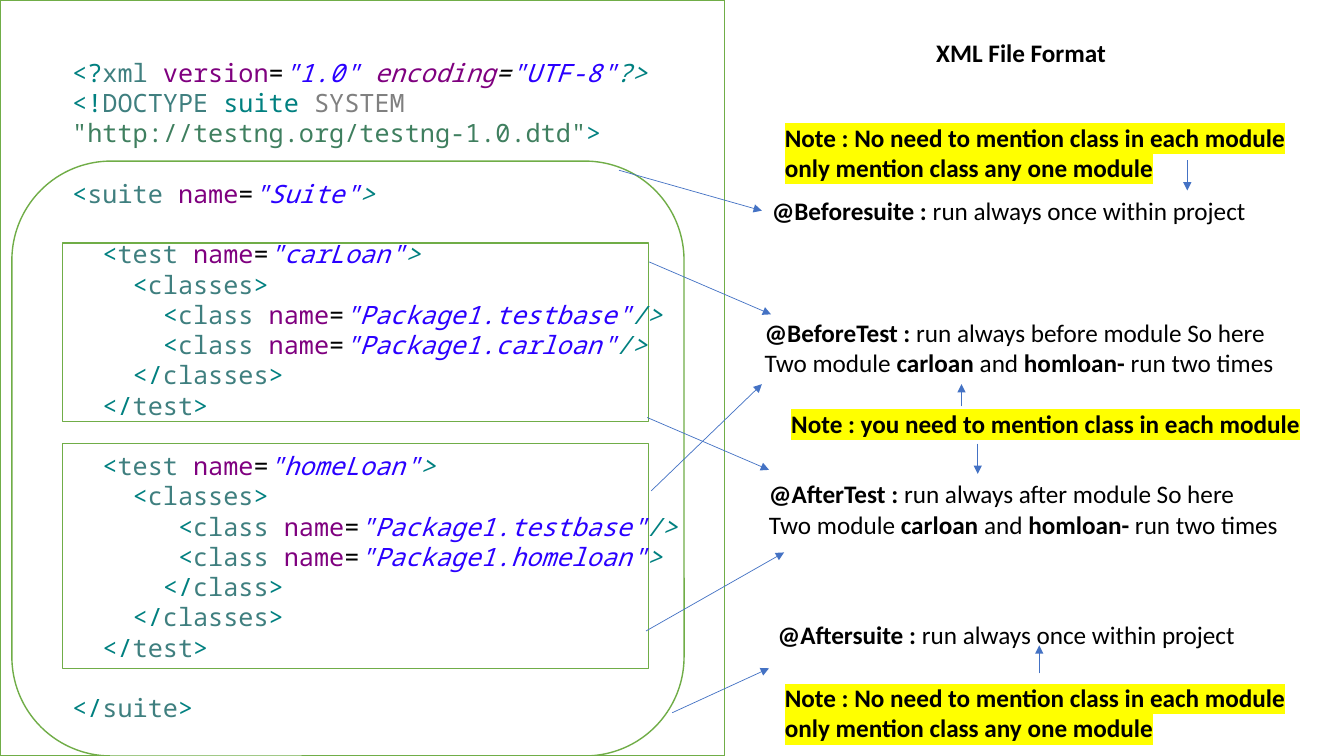
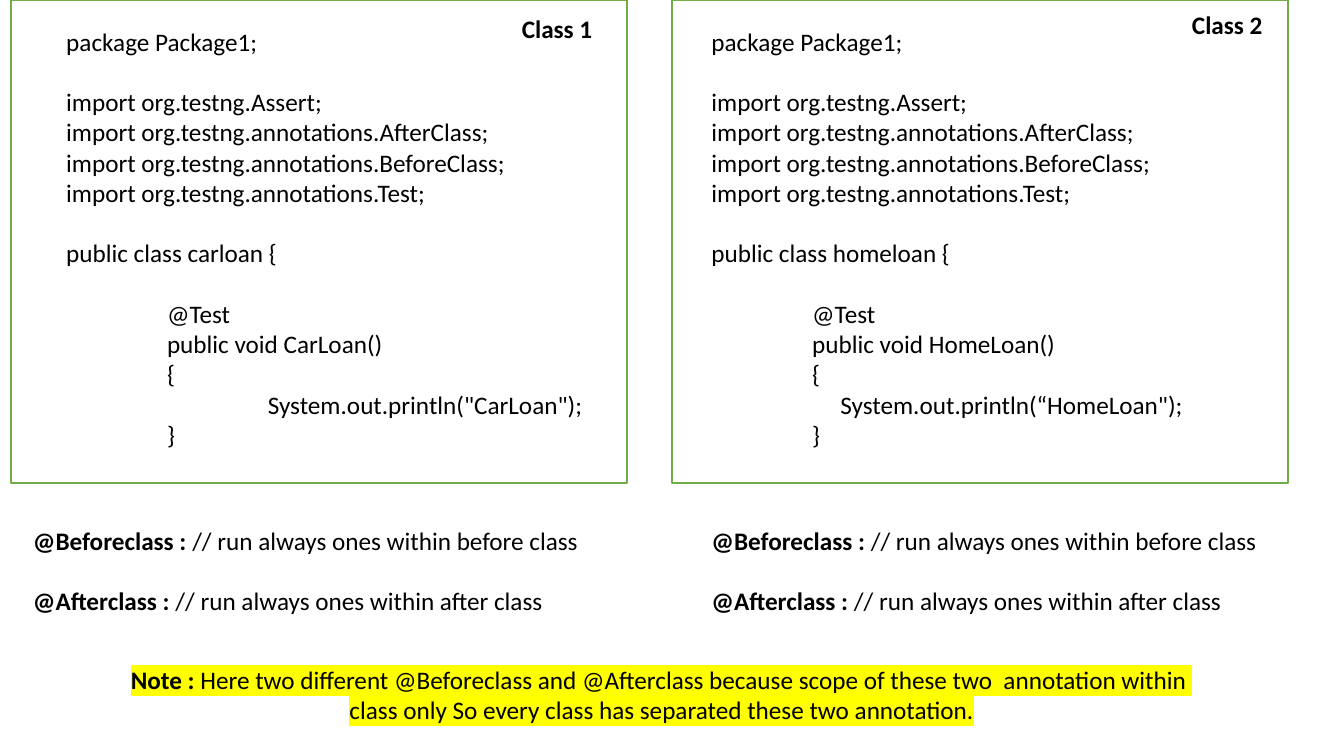
import pptx
import pptx.util
import pptx.dml.color
import pptx.enum.shapes
import pptx.enum.text
import pptx.oxml.ns
import lxml.etree

Cm, Pt = pptx.util.Cm, pptx.util.Pt
Kind = pptx.enum.shapes.MSO_SHAPE
Align = pptx.enum.text.PP_ALIGN

WHITE, BLACK, GREEN, BLUE, YELLOW = "FFFFFF", "000000", "70AD47", "4472C4", "FFFF00"
TEAL, TAG, NAME, VALUE, GREY, LINK = "008080", "3F7F7F", "7F007F", "2A00FF", "808080", "3F7F5F"
SANS, MONO = "Calibri", "Noto Sans Mono"
SIZE, LINE, CHAR, TAB = 18, 21.6, 10.8, 72


def tag(step, name, value="", end=">", start="<", gap=0):
    runs = [(start, TEAL, False)]
    if value:
        runs += [(name + " ", TAG, False), ("name", NAME, False), ("=", BLACK, False),
                 (f'"{value}"', VALUE, True)]
    else:
        runs.append((name, TAG, False))
    return runs + [(end, TEAL, bool(value))], step, gap


def close(step, name, gap=0):
    return tag(step, name, start="</", gap=gap)


HEAD = [
    ([("<?", TEAL, False), ("xml ", TAG, False), ("version", NAME, False), ("=", BLACK, False),
      ('"1.0" ', VALUE, True), ("encoding", NAME, True), ("=", BLACK, True),
      ('"UTF-8"', VALUE, True), ("?>", TEAL, True)], 0, 0),
    ([("<!", TEAL, False), ("DOCTYPE ", TAG, False), ("suite ", TEAL, False),
      ("SYSTEM ", GREY, False), ('"http://testng.org/testng-1.0.dtd"', LINK, False),
      (">", TEAL, False)], 0, 0),
]
CODE = HEAD + [
    tag(0, "suite", "Suite", gap=1),
    tag(2, "test", "carLoan", gap=1),
    tag(4, "classes"),
    tag(6, "class", "Package1.testbase", "/>"),
    tag(6, "class", "Package1.carloan", "/>"),
    close(4, "classes"),
    close(2, "test"),
    tag(2, "test", "homeLoan", gap=1),
    tag(4, "classes"),
    tag(7, "class", "Package1.testbase", "/>"),
    tag(7, "class", "Package1.homeloan"),
    close(6, "class"),
    close(4, "classes"),
    close(2, "test"),
    close(0, "suite", gap=1),
]
FRAMES = [
    (Kind.RECTANGLE, 0, 0, 18.26, 19.05),
    (Kind.ROUNDED_RECTANGLE, 0.3, 4.06, 16.94, 14.99),
    (Kind.RECTANGLE, 1.57, 6.12, 14.78, 4.5),
    (Kind.RECTANGLE, 1.57, 11.18, 14.78, 5.66),
]
SUITES = [("Before", 19.2, 4.8), ("After", 19.35, 15.47)]
TESTS = [("Before", "before", 19.02, 7.87), ("After", "after", 19.13, 11.94)]
ONCE = "*Note : No need to mention class in each module only mention class any one module*"
NOTES = [
    ("*Note : you need to mention class in each module*", 19.69, 10.16, 1.02),
    (ONCE, 19.53, 2.95, 1.8),
    (ONCE, 19.53, 17.07, 1.8),
]
ARROWS = [
    (15.6, 4.29, 19.2, 5.31), (16.94, 17.96, 19.38, 16.84),
    (16.36, 6.6, 19.43, 7.92), (16.31, 10.52, 19.38, 11.84),
    (16.28, 15.9, 19.76, 13.92), (16.41, 12.37, 19.2, 9.68),
    (24.23, 10.24, 24.23, 9.68), (24.64, 11.18, 24.64, 11.94),
    (29.92, 4.04, 29.92, 4.8), (26.19, 16.97, 26.19, 16.26),
]
CLASSES = [
    dict(label="Class 1", at=(12.9, 0.2), frame=0.28, code=(1.42, 14.02), rule=0.58,
         name="carloan", call="CarLoan", quote='"', step=2),
    dict(label="Class 2", at=(29.79, 0.1), frame=16.94, code=(17.68, 14.76), rule=17.68,
         name="homeloan", call="HomeLoan", quote="\u201c", step=1.28),
]
RULES = [
    ("*@Beforeclass : *// run always ones within before class", 0, 0),
    ("*@Afterclass : *// run always ones within after class", 0, 1),
]
SCOPE = [
    ("*Note : *Here two different @Beforeclass and @Afterclass because scope of these two"
     "  annotation within ", 0, 0),
    ("class only So every class has separated these two annotation.", 0, 0),
]


def hue(code):
    return pptx.dml.color.RGBColor.from_string(code)


def style(para, font=SANS):
    para.font.name = font
    para.font.size = Pt(SIZE)
    if font == SANS:
        para.font.color.rgb = hue(BLACK)


def mark(run):
    prop = run.font._element if hasattr(run.font, "_element") else run._r.get_or_add_rPr()
    glow = lxml.etree.SubElement(prop, pptx.oxml.ns.qn("a:highlight"))
    lxml.etree.SubElement(glow, pptx.oxml.ns.qn("a:srgbClr")).set("val", YELLOW)


def indent(para, points):
    if points:
        para._p.get_or_add_pPr().set("marL", str(int(Pt(points))))


def area(slide, left, top, wide, high, wrap=True):
    box = slide.shapes.add_textbox(Cm(left), Cm(top), Cm(wide), Cm(high))
    box.text_frame.word_wrap = wrap
    return box.text_frame


def paras(frame, lines):
    for i, (text, step, gap) in enumerate(lines):
        para = frame.add_paragraph() if i else frame.paragraphs[0]
        if gap:
            para.space_before = Pt(gap * LINE)
        yield para, text, step


def write(slide, lines, left, top, wide, high, wrap=True, lit=False, align=Align.LEFT):
    frame = area(slide, left, top, wide, high, wrap)
    for para, text, step in paras(frame, lines):
        style(para)
        para.alignment = align
        indent(para, step * TAB)
        for i, part in enumerate(text.split("*")):
            if part:
                run = para.add_run()
                run.text = part
                run.font.bold = i % 2 == 1
                if lit:
                    mark(run)


def listing(slide, lines, left, top, wide, high):
    frame = area(slide, left, top, wide, high)
    for para, runs, step in paras(frame, lines):
        style(para, MONO)
        para.line_spacing = Pt(LINE)
        indent(para, step * CHAR)
        for text, color, slant in runs:
            run = para.add_run()
            run.text = text
            run.font.color.rgb = hue(color)
            run.font.italic = slant


def panel(slide, kind, left, top, wide, high):
    shape = slide.shapes.add_shape(kind, Cm(left), Cm(top), Cm(wide), Cm(high))
    shape.shadow.inherit = False
    shape.fill.solid()
    shape.fill.fore_color.rgb = hue(WHITE)
    shape.line.color.rgb = hue(GREEN)
    shape.line.width = Pt(1)


def arrow(slide, *ends):
    link = slide.shapes.add_connector(
        pptx.enum.shapes.MSO_CONNECTOR.STRAIGHT, *[Cm(end) for end in ends])
    link.line.color.rgb = hue(BLUE)
    link.line.width = Pt(0.5)
    line = link.line._get_or_add_ln()
    lxml.etree.SubElement(line, pptx.oxml.ns.qn("a:tailEnd")).set("type", "triangle")
    lxml.etree.SubElement(link._element.spPr, pptx.oxml.ns.qn("a:effectLst"))


def title(slide, text, left, top, wide, high):
    head = slide.shapes.title
    head.left, head.top, head.width, head.height = Cm(left), Cm(top), Cm(wide), Cm(high)
    frame = head.text_frame
    frame.text = text
    frame.word_wrap = False
    frame.auto_size = pptx.enum.text.MSO_AUTO_SIZE.NONE
    frame.vertical_anchor = pptx.enum.text.MSO_ANCHOR.TOP
    para = frame.paragraphs[0]
    style(para)
    para.font.bold = True
    para.alignment = Align.LEFT


def source(item):
    return [
        ("package Package1;", 0, 0),
        ("import org.testng.Assert;", 0, 1),
        ("import org.testng.annotations.AfterClass;", 0, 0),
        ("import org.testng.annotations.BeforeClass;", 0, 0),
        ("import org.testng.annotations.Test;", 0, 0),
        (f"public class {item['name']} {{", 0, 1),
        ("@Test", 1, 1),
        (f"public void {item['call']}()", 1, 0),
        ("{", 1, 0),
        (f"System.out.println({item['quote']}{item['call']}\");", item["step"], 0),
        ("}", 1, 0),
    ]


deck = pptx.Presentation()
deck.slide_width, deck.slide_height = Cm(33.87), Cm(19.05)

suite = deck.slides.add_slide(deck.slide_layouts[5])
title(suite, "XML File Format", 23.34, 0.81, 4.83, 1.02)
for frame in FRAMES:
    panel(suite, *frame)
for word, left, top in SUITES:
    write(suite, [(f"*@{word}suite : *run always once within project", 0, 0)],
          left, top, 13.34, 1.02)
for word, when, left, top in TESTS:
    write(suite, [(f"*@{word}Test : *run always {when} module So here", 0, 0),
                  ("Two module *carloan* and *homloan-* run two times", 0, 0)],
          left, top, 13.64, 1.8, wrap=False)
listing(suite, CODE, 1.57, 1.32, 16.94, 17.2)
for text, left, top, high in NOTES:
    write(suite, [(text, 0, 0)], left, top, 13.34, high, lit=True)
for ends in ARROWS:
    arrow(suite, *ends)

pair = deck.slides.add_slide(deck.slide_layouts[6])
for item in CLASSES:
    left, wide = item["code"]
    panel(pair, Kind.RECTANGLE, item["frame"], 0, 15.52, 12.17)
    write(pair, source(item), left, 0.53, wide, 12.57)
    write(pair, [(f"*{item['label']}*", 0, 0)], *item["at"], 2.31, 1.02, wrap=False)
    write(pair, RULES, item["rule"], 13.11, 14.6, 2.57)
write(pair, SCOPE, 2.87, 16.61, 27.61, 1.8, wrap=False, lit=True, align=Align.CENTER)

deck.save("out.pptx")
